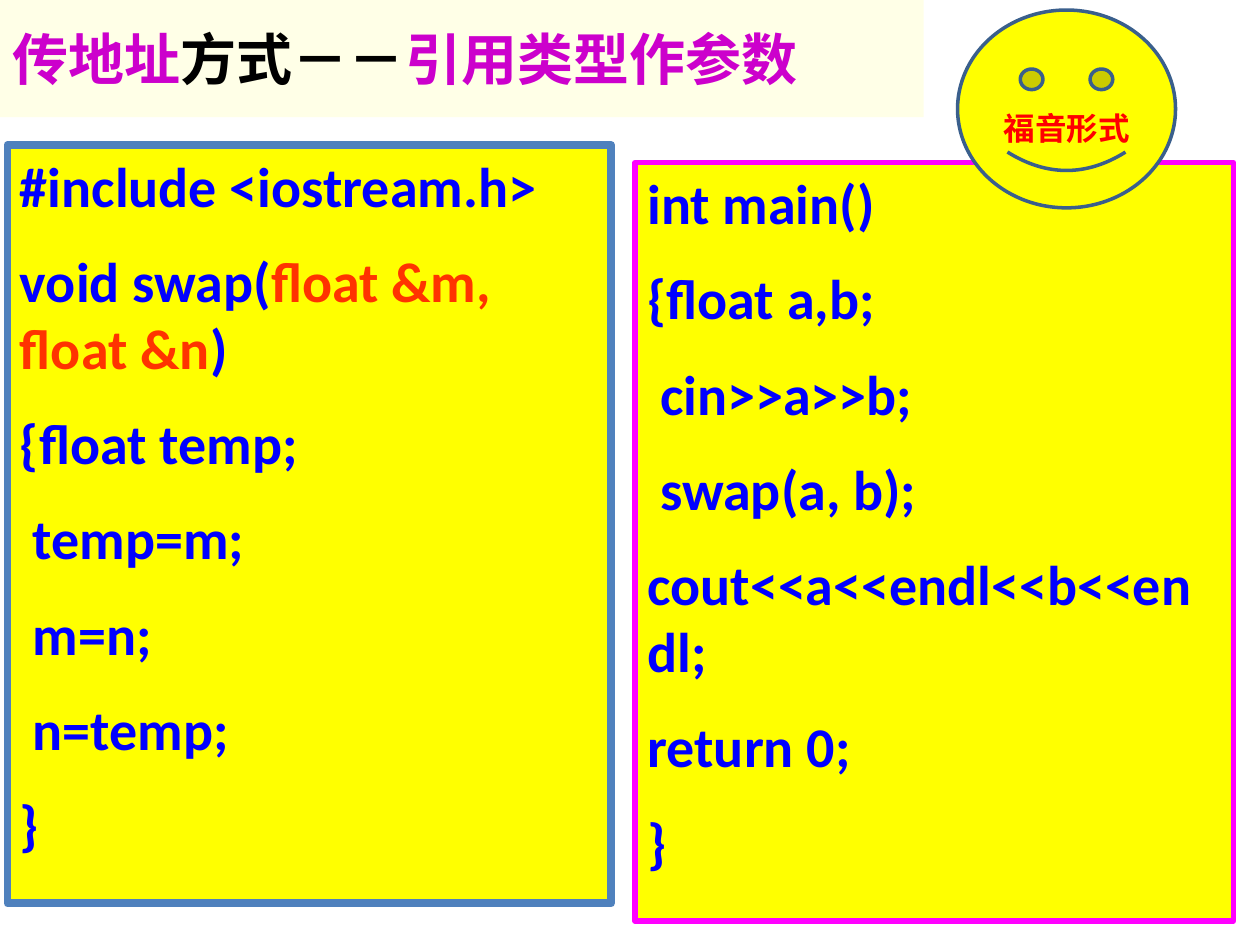
from dataclasses import dataclass

from lxml import etree
from pptx import Presentation
from pptx.dml.color import RGBColor
from pptx.enum.shapes import MSO_SHAPE
from pptx.enum.text import MSO_ANCHOR, MSO_AUTO_SIZE, PP_ALIGN
from pptx.oxml.ns import qn
from pptx.util import Inches, Pt

RECTANGLE = MSO_SHAPE.RECTANGLE
SMILEY = MSO_SHAPE.SMILEY_FACE
TOP, MIDDLE = MSO_ANCHOR.TOP, MSO_ANCHOR.MIDDLE
LEFT, CENTER = PP_ALIGN.LEFT, PP_ALIGN.CENTER
NO_AUTOFIT = MSO_AUTO_SIZE.NONE

TITLE_ONLY = 5
COLUMNS, ROWS = 100, 75
LATIN, CHINESE = "Calibri", "Noto Sans CJK SC"
COLORS = {
    "yellow": "FFFF00", "cream": "FFFFE7", "magenta": "FF00FF",
    "steel": "4F81BD", "navy": "3A5F8C", "blue": "0000FF",
    "orange": "FF3300", "purple": "CC00CC", "black": "000000",
    "red": "FF0000",
}


@dataclass(frozen=True)
class Area:
    column: float
    row: float
    columns: float
    rows: float


@dataclass(frozen=True)
class Span:
    text: str
    color: str = "blue"


@dataclass(frozen=True)
class CodePanel:
    area: Area
    border: str
    border_width: float
    lines: list[list[Span]]


TITLE_AREA = Area(0, 0, 73.3, 9.3)
TITLE = [Span("传地址", "purple"), Span("方式－－", "black"), Span("引用类型作参数", "purple")]
SMILEY_AREA = Area(76, 0.8, 17.3, 15.7)

PANELS = [
    CodePanel(Area(50.4, 12.9, 47.5, 60.2), "magenta", 3, [
        [Span("int main()")],
        [Span("{float a,b;")],
        [Span(" cin>>a>>b;")],
        [Span(" swap(a, b);")],
        [Span("cout<<a<<endl<<b<<endl;")],
        [Span("return 0;")],
        [Span("}")],
    ]),
    CodePanel(Area(0.6, 11.5, 47.9, 60.2), "steel", 4.5, [
        [Span("#include <iostream.h>")],
        [Span("void swap("), Span("float &m, float &n", "orange"), Span(")")],
        [Span("{float temp;")],
        [Span(" temp=m;")],
        [Span(" m=n;")],
        [Span(" n=temp;")],
        [Span("}")],
    ]),
]


def color(name: str) -> RGBColor:
    return RGBColor.from_string(COLORS[name])


def box(presentation, area: Area) -> tuple[int, int, int, int]:
    column = presentation.slide_width / COLUMNS
    row = presentation.slide_height / ROWS
    return (round(area.column * column), round(area.row * row),
            round(area.columns * column), round(area.rows * row))


def write_text(shape, lines: list[list[Span]], *, size: float = 32, font: str = LATIN,
               align=LEFT, anchor=TOP, gap: float = 0,
               side_margin: float = 0.1, top_margin: float = 0.05) -> None:
    frame = shape.text_frame
    frame.word_wrap = True
    frame.auto_size = NO_AUTOFIT
    frame.vertical_anchor = anchor
    frame.margin_left = frame.margin_right = Inches(side_margin)
    frame.margin_top = Inches(top_margin)
    for index, spans in enumerate(lines):
        paragraph = frame.add_paragraph() if index else frame.paragraphs[0]
        paragraph.alignment = align
        paragraph.space_before = Pt(gap if index else 0)
        for span in spans:
            run = paragraph.add_run()
            run.text = span.text
            run.font.size = Pt(size)
            run.font.bold = True
            run.font.color.rgb = color(span.color)
            run.font.name = font
            properties = run.font._element
            etree.SubElement(properties, qn("a:ea"), typeface=CHINESE)


def add_outlined_shape(presentation, slide, kind, area: Area, border: str, width: float):
    shape = slide.shapes.add_shape(kind, *box(presentation, area))
    shape.shadow.inherit = False
    shape.fill.solid()
    shape.fill.fore_color.rgb = color("yellow")
    shape.line.color.rgb = color(border)
    shape.line.width = Pt(width)
    return shape


def format_title(presentation, slide) -> None:
    title = slide.shapes.title
    title.left, title.top, title.width, title.height = box(presentation, TITLE_AREA)
    title.fill.solid()
    title.fill.fore_color.rgb = color("cream")
    write_text(title, [TITLE], font=CHINESE, anchor=MIDDLE)


def main() -> None:
    presentation = Presentation()
    presentation.slide_width, presentation.slide_height = Inches(10), Inches(7.5)
    slide = presentation.slides.add_slide(presentation.slide_layouts[TITLE_ONLY])
    format_title(presentation, slide)
    for panel in PANELS:
        shape = add_outlined_shape(presentation, slide, RECTANGLE, panel.area,
                                   panel.border, panel.border_width)
        write_text(shape, panel.lines, gap=16)
    smiley = add_outlined_shape(presentation, slide, SMILEY, SMILEY_AREA, "navy", 2)
    write_text(smiley, [[Span("福音形式", "red")]], size=18, align=CENTER,
               anchor=MIDDLE, side_margin=0, top_margin=0.35)
    presentation.save("out.pptx")


if __name__ == "__main__":
    main()
